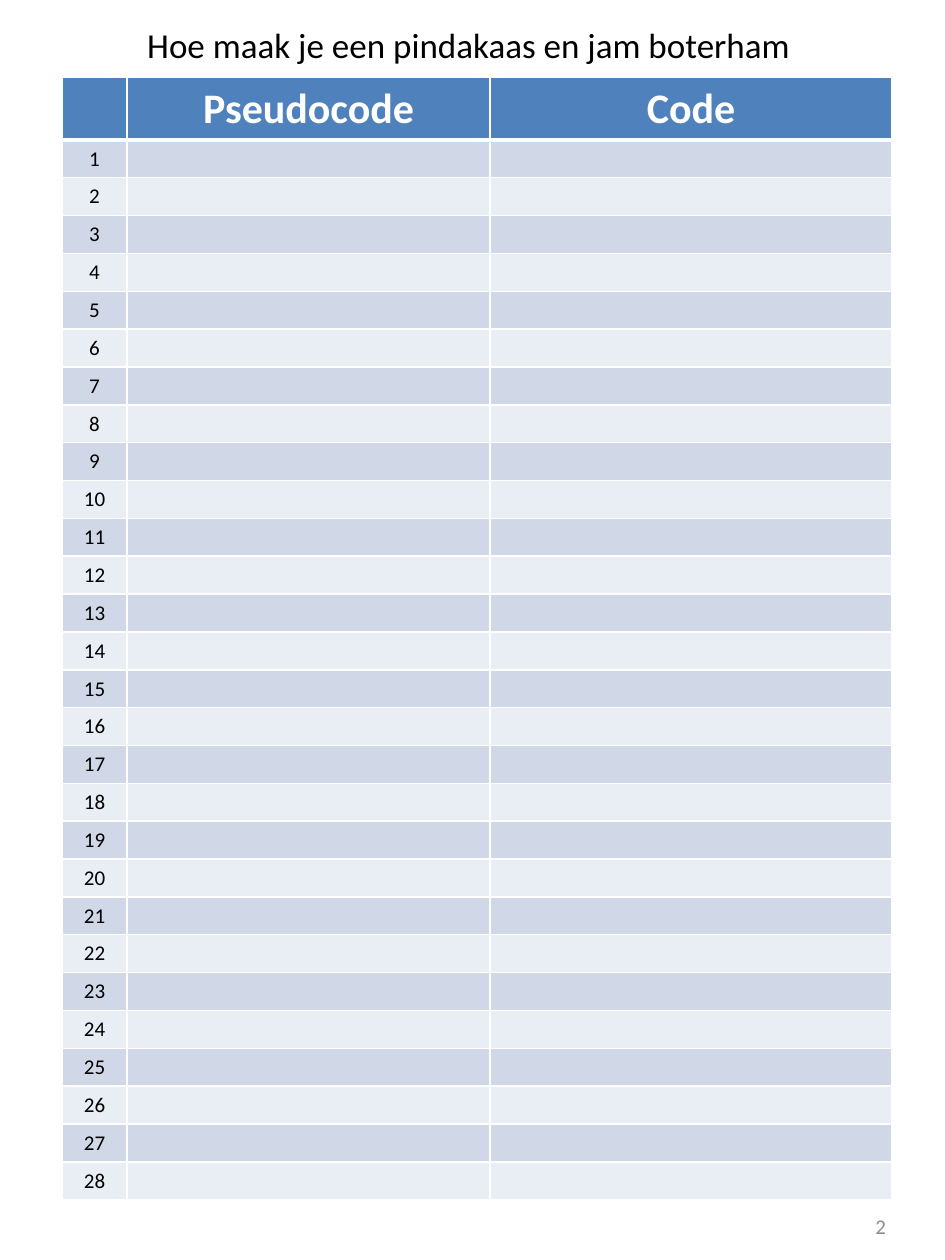
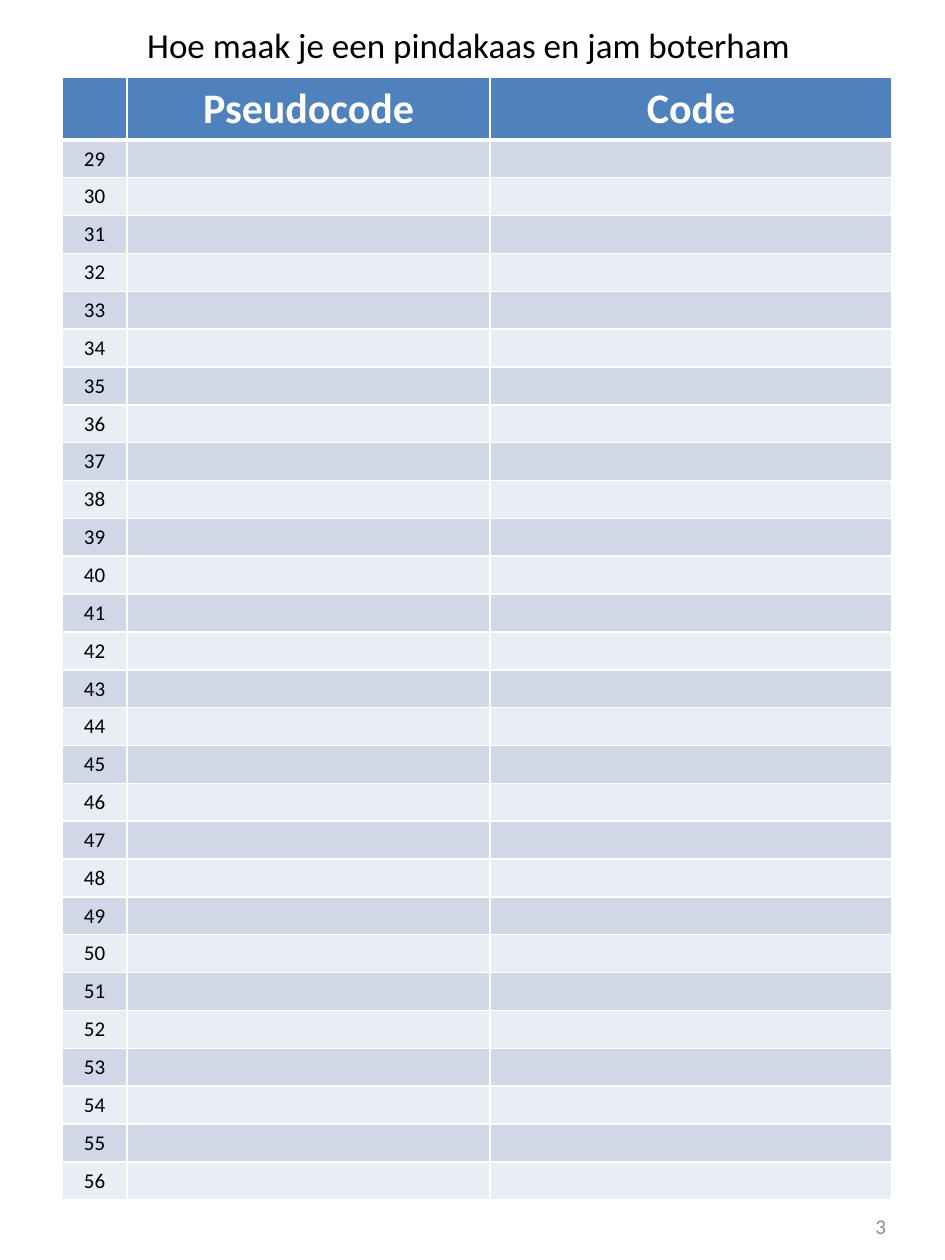
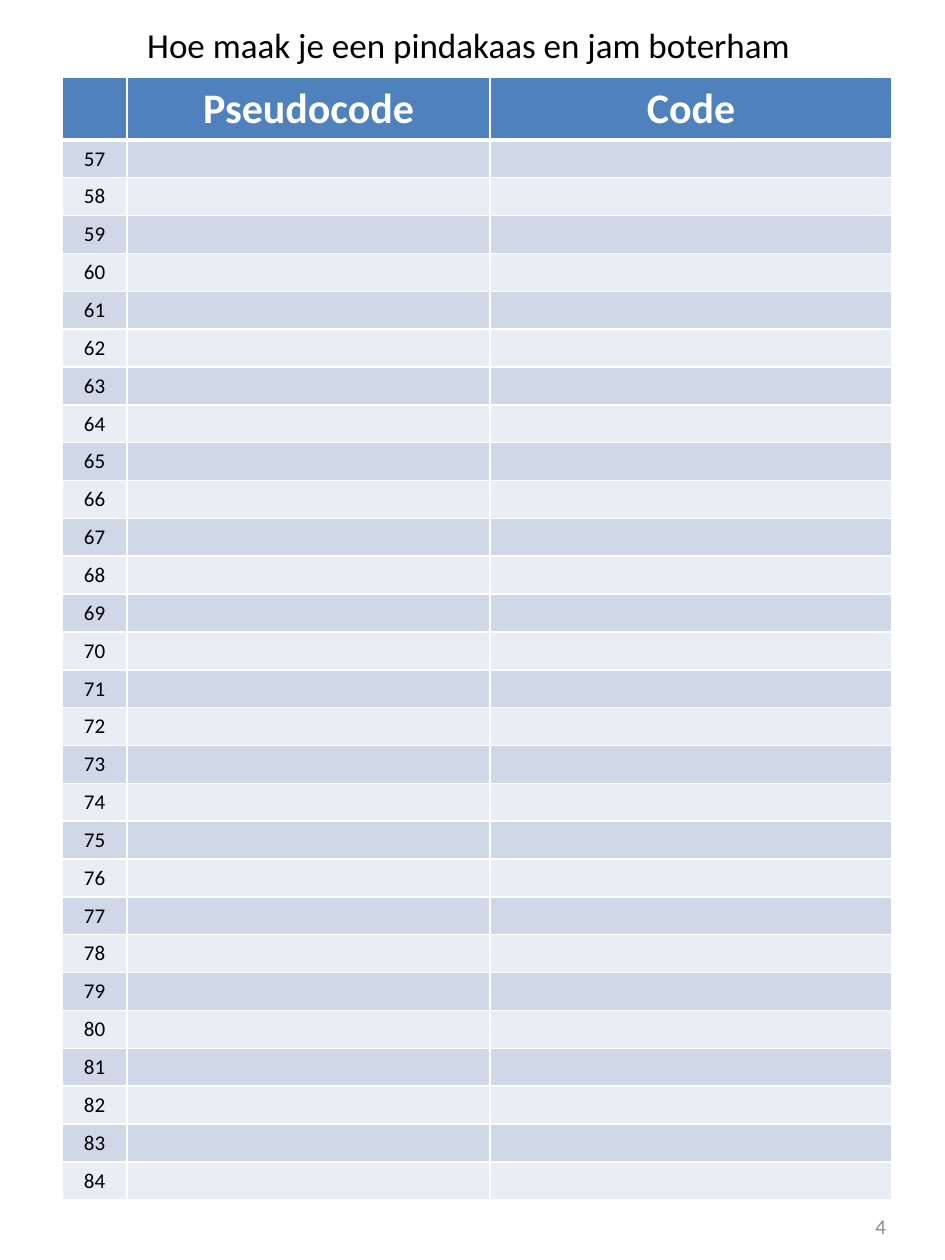
from dataclasses import dataclass

from lxml.etree import SubElement
from pptx import Presentation
from pptx.dml.color import RGBColor
from pptx.enum.text import MSO_ANCHOR, MSO_AUTO_SIZE, PP_ALIGN
from pptx.oxml.ns import qn
from pptx.util import Inches, Pt

# Content
TITLE = "Hoe maak je een pindakaas en jam boterham"
HEADS = ["", "Pseudocode", "Code"]
PAGES = [2, 3, 4]
LINES = 28  # numbered lines on each page

# Layout in inches: left, top, width, height
SIZE = (7.5, 10)
TITLE_BOX = (0.35, 0.14, 6.74, 0.44)
GRID_BOX = (0.49, 0.61, 6.6, 8.9)
PAGE_BOX = (5.38, 9.47, 1.75, 0.53)
COLS = [0.52, 2.88, 3.19]
HEAD_ROW, LINE_ROW = 0.47, 0.28


@dataclass(frozen=True)
class Theme:
    font: str = "Calibri"
    head: str = "4F81BD"
    bands: tuple = ("E9EDF4", "D0D8E8")
    rule: str = "FFFFFF"
    thin: int = 1
    thick: int = 3


THEME = Theme()
STYLES = {
    "title": {"size": 20, "color": "000000", "bold": False},
    "head": {"size": 24, "color": "FFFFFF", "bold": True},
    "line": {"size": 12, "color": "000000", "bold": False},
    "page": {"size": 12, "color": "8C8C8C", "bold": False},
}


def write(frame, text, style, align=PP_ALIGN.CENTER):
    look = STYLES[style]
    para = frame.paragraphs[0]
    para.alignment = align
    if not text:
        # An empty cell still needs its type size to keep the row low
        SubElement(para._p, qn("a:endParaRPr"), sz=str(look["size"] * 100))
        return
    run = para.add_run()
    run.text = text
    values = {"name": THEME.font, "size": Pt(look["size"]), "bold": look["bold"]}
    for name, value in values.items():
        setattr(run.font, name, value)
    run.font.color.rgb = RGBColor.from_string(look["color"])


def place(shape, box):
    for name, value in zip(("left", "top", "width", "height"), box):
        setattr(shape, name, Inches(value))


def rule(cell, widths):
    props = cell._tc.get_or_add_tcPr()
    for side, width in zip("LRTB", widths):
        line = SubElement(props, qn(f"a:ln{side}"), w=str(Pt(width)))
        fill = SubElement(line, qn("a:solidFill"))
        SubElement(fill, qn("a:srgbClr"), val=THEME.rule)


def add_title(slide):
    title = slide.shapes.title
    place(title, TITLE_BOX)
    frame = title.text_frame
    frame.word_wrap = True
    frame.auto_size = MSO_AUTO_SIZE.SHAPE_TO_FIT_TEXT
    frame.vertical_anchor = MSO_ANCHOR.TOP
    write(frame, TITLE, "title")


def add_grid(slide, first):
    rows = [HEADS] + [[str(first + i), "", ""] for i in range(LINES)]
    box = [Inches(v) for v in GRID_BOX]
    shape = slide.shapes.add_table(len(rows), len(COLS), *box)
    table = shape.table
    for col, width in zip(table.columns, COLS):
        col.width = Inches(width)
    for r, texts in enumerate(rows):
        table.rows[r].height = Inches(LINE_ROW if r else HEAD_ROW)
        color = THEME.bands[r % 2] if r else THEME.head
        above = THEME.thick if r == 1 else THEME.thin
        below = THEME.thin if r else THEME.thick
        for c, text in enumerate(texts):
            cell = table.cell(r, c)
            rule(cell, (THEME.thin, THEME.thin, above, below))
            cell.fill.solid()
            cell.fill.fore_color.rgb = RGBColor.from_string(color)
            write(cell.text_frame, text, "line" if r else "head")
    place(shape, GRID_BOX)


def add_page(slide, page):
    box = slide.shapes.add_textbox(*[Inches(v) for v in PAGE_BOX])
    frame = box.text_frame
    frame.word_wrap = True
    frame.vertical_anchor = MSO_ANCHOR.MIDDLE
    write(frame, str(page), "page", PP_ALIGN.RIGHT)


def main():
    deck = Presentation()
    deck.slide_width, deck.slide_height = [Inches(v) for v in SIZE]
    for i, page in enumerate(PAGES):
        slide = deck.slides.add_slide(deck.slide_layouts[5])
        add_title(slide)
        add_grid(slide, i * LINES + 1)
        add_page(slide, page)
    deck.save("out.pptx")


if __name__ == "__main__":
    main()
